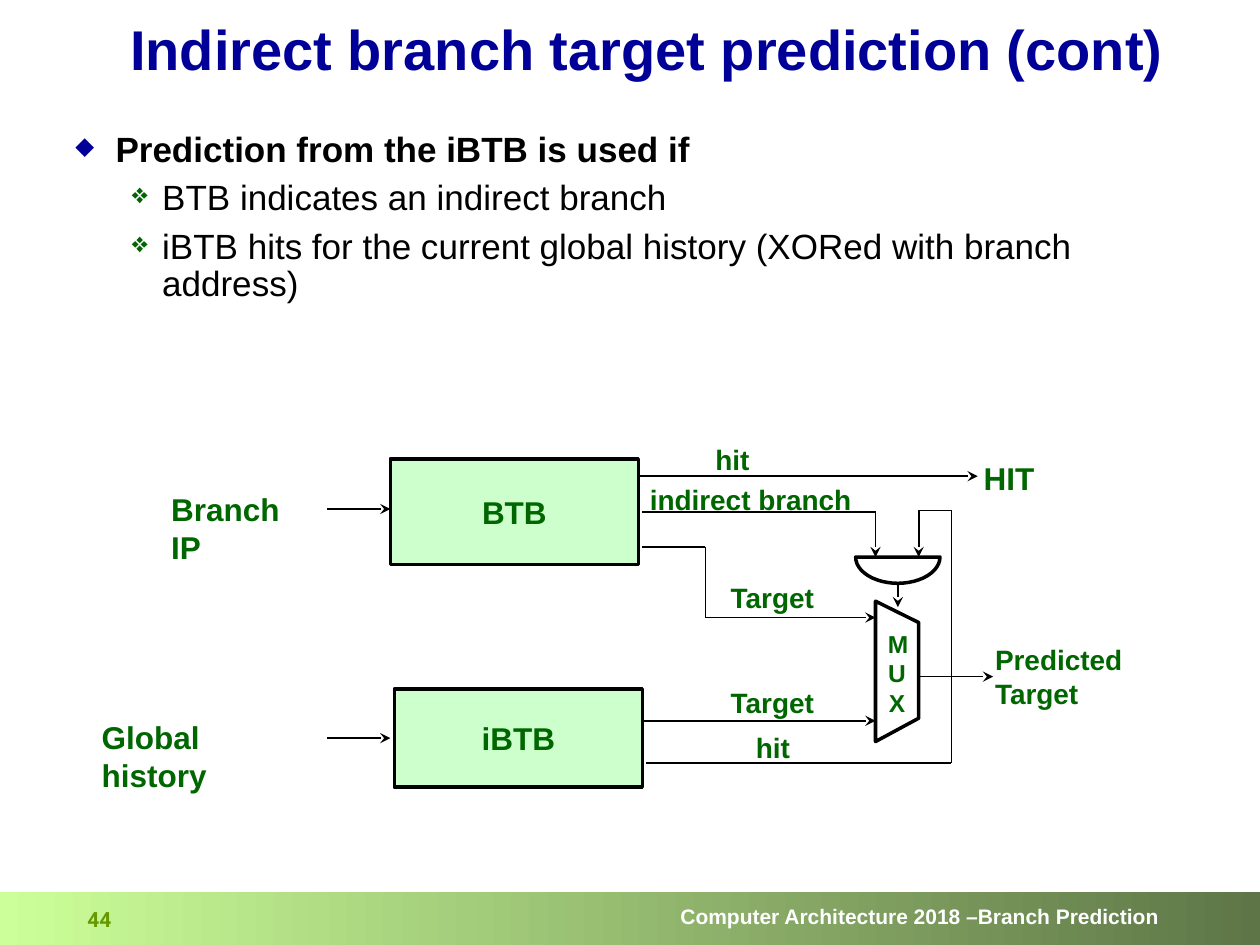
from dataclasses import dataclass
from itertools import pairwise
from math import cos, pi, sin

from lxml.etree import SubElement
from pptx import Presentation
from pptx.dml.color import RGBColor
from pptx.enum.shapes import MSO_CONNECTOR, MSO_SHAPE
from pptx.enum.text import MSO_ANCHOR, PP_ALIGN
from pptx.oxml.ns import qn
from pptx.util import Cm, Pt


@dataclass(frozen=True)
class Theme:
    font: str = "Arial"
    number_font: str = "Roboto"
    title: str = "000099"
    ink: str = "000000"
    label: str = "006600"
    block: str = "CCFFCC"
    footer_start: str = "CCFF99"
    footer_end: str = "5E7647"
    footer_text: str = "FFFFFF"
    number: str = "669900"
    title_size: int = 32
    body_size: int = 20
    block_size: int = 18
    label_size: int = 16
    mux_size: int = 14
    footer_size: int = 12
    thin: int = 1
    thick: int = 2


THEME = Theme()
rgb = RGBColor.from_string


def add_bullet(paragraph, char, color, percent, left, hanging):
    """Give a paragraph a coloured bullet and a hanging indent in cm."""
    props = paragraph._p.get_or_add_pPr()
    props.set("marL", str(Cm(left)))
    props.set("indent", str(-Cm(hanging)))
    bullet_color = SubElement(props, qn("a:buClr"))
    SubElement(bullet_color, qn("a:srgbClr"), val=color)
    SubElement(props, qn("a:buSzPct"), val=str(percent * 1000))
    SubElement(props, qn("a:buChar"), char=char)


def write(shape, text, *, size=THEME.label_size, color=THEME.label, bold=True,
          font=THEME.font, align=PP_ALIGN.LEFT, anchor=MSO_ANCHOR.TOP,
          wrap=True, spacing=None, before=None, bullet=None, more=False):
    """Write one paragraph per line of text; more adds to the text there."""
    frame = shape.text_frame
    frame.word_wrap = wrap
    frame.vertical_anchor = anchor
    for index, line in enumerate(text.split("\n")):
        first = index == 0 and not more
        paragraph = frame.paragraphs[0] if first else frame.add_paragraph()
        if bullet:
            add_bullet(paragraph, *bullet)
        paragraph.alignment = align
        if spacing:
            paragraph.line_spacing = spacing
        if before and not first:
            paragraph.space_before = Pt(before)
        run = paragraph.add_run()
        run.text = line
        run.font.name = font
        run.font.size = Pt(size)
        run.font.bold = bold
        run.font.color.rgb = rgb(color)


def add_box(slide, left, top, width, height):
    return slide.shapes.add_textbox(Cm(left), Cm(top), Cm(width), Cm(height))


def add_rectangle(slide, left, top, width, height):
    rectangle = slide.shapes.add_shape(
        MSO_SHAPE.RECTANGLE, Cm(left), Cm(top), Cm(width), Cm(height))
    rectangle.shadow.inherit = False
    return rectangle


def set_outline(shape, width):
    shape.line.color.rgb = rgb(THEME.ink)
    shape.line.width = Pt(width)


def add_wire(slide, points, arrow=True):
    """Join points by straight lines, with an arrowhead at the last one."""
    segments = list(pairwise(points))
    for segment in segments:
        (x1, y1), (x2, y2) = segment
        line = slide.shapes.add_connector(
            MSO_CONNECTOR.STRAIGHT, Cm(x1), Cm(y1), Cm(x2), Cm(y2))
        set_outline(line, THEME.thin)
        if arrow and segment is segments[-1]:
            SubElement(line.line._get_or_add_ln(), qn("a:tailEnd"), type="stealth")
        SubElement(line._element.spPr, qn("a:effectLst"))


def add_outline(slide, points):
    start, *rest = [(Cm(x), Cm(y)) for x, y in points]
    builder = slide.shapes.build_freeform(*start)
    builder.add_line_segments(rest, close=True)
    outline = builder.convert_to_shape()
    outline.shadow.inherit = False
    outline.fill.background()
    set_outline(outline, THEME.thick)


def add_title(slide, left, top, width, height):
    write(add_box(slide, left, top, width, height),
          "Indirect branch target prediction (cont)", size=THEME.title_size,
          color=THEME.title, align=PP_ALIGN.CENTER, anchor=MSO_ANCHOR.MIDDLE,
          spacing=0.9)


def add_conditions(slide, left, top, width, height):
    conditions = add_box(slide, left, top, width, height)
    style = {"size": THEME.body_size, "color": THEME.ink, "spacing": 0.9, "before": 6}
    write(conditions, "Prediction from the iBTB is used if",
          bullet=("◆", THEME.title, 70, 0.81, 0.81), **style)
    write(conditions, "BTB indicates an indirect branch\n"
          "iBTB hits for the current global history (XORed with branch address)",
          bold=False, more=True, bullet=("❖", THEME.label, 80, 1.75, 0.61), **style)


def add_predictor(slide, left, top):
    """Draw the block diagram from its top left corner."""
    def place(*points):
        return [(left + x, top + y) for x, y in points]

    for name, x, y, height in (("BTB", 6.07, 0.45, 2.13), ("iBTB", 6.15, 5.09, 1.98)):
        block = add_rectangle(slide, left + x, top + y, 5, height)
        block.fill.solid()
        block.fill.fore_color.rgb = rgb(THEME.block)
        set_outline(block, THEME.thick)
        write(block, name, size=THEME.block_size, align=PP_ALIGN.CENTER,
              anchor=MSO_ANCHOR.MIDDLE)

    gate_x, gate_y, steps = 16.3, 2.43, 24
    arc = [(gate_x + 0.85 * cos(pi * step / steps),
            gate_y + 0.53 * sin(pi * step / steps)) for step in range(steps + 1)]
    add_outline(slide, place(*arc))

    mux_left, mux_right = 15.85, 16.72
    add_outline(slide, place((mux_left, 3.32), (mux_right, 3.75),
                             (mux_right, 5.68), (mux_left, 6.15)))
    for row, letter in enumerate("MUX"):
        write(add_box(slide, left + mux_left, top + 3.75 + 0.6 * row,
                      mux_right - mux_left, 0.84),
              letter, size=THEME.mux_size, align=PP_ALIGN.CENTER, wrap=False)

    wires = (
        ((4.8, 1.46), (6.07, 1.46)),
        ((4.8, 6.08), (6.07, 6.08)),
        ((11.1, 0.8), (17.91, 0.8)),
        ((11.15, 1.52), (mux_left, 1.52), (mux_left, gate_y)),
        ((11.15, 2.22), (12.42, 2.22), (12.42, 3.65), (mux_left, 3.65)),
        ((11.15, 5.73), (mux_left, 5.73)),
        ((11.23, 6.58), (17.38, 6.58), (17.38, 1.49), (mux_right, 1.49),
         (mux_right, gate_y)),
        ((gate_x, 2.96), (gate_x, 3.44)),
        ((mux_right, 4.84), (18.22, 4.84)),
    )
    for wire in wires:
        add_wire(slide, place(*wire))

    labels = (
        ("Branch IP", 1.4, 0.95, 3.2, THEME.block_size),
        ("Global history", 0, 5.55, 3.2, THEME.block_size),
        ("HIT", 17.78, 0.32, 2, THEME.block_size),
        ("hit", 12.37, 0, 1.5, THEME.label_size),
        ("indirect branch", 11.05, 0.8, 5, THEME.label_size),
        ("Target", 12.68, 2.78, 2.44, THEME.label_size),
        ("Target", 12.68, 4.89, 2.44, THEME.label_size),
        ("hit", 13.19, 5.8, 1.5, THEME.label_size),
        ("Predicted\nTarget", 18.01, 4.03, 3.6, THEME.label_size),
    )
    for text, x, y, width, size in labels:
        write(add_box(slide, left + x, top + y, width, 0.95), text, size=size)


def add_footer(slide, left, top, width, height):
    band = add_rectangle(slide, left, top, width, height)
    band.line.fill.background()
    band.fill.gradient()
    band.fill.gradient_angle = 0
    for stop, color in zip(band.fill.gradient_stops,
                           (THEME.footer_start, THEME.footer_end)):
        stop.color.rgb = rgb(color)
    band.text_frame.margin_right = Cm(2.03)
    band.text_frame.margin_top = band.text_frame.margin_bottom = 0
    write(band, "Computer Architecture 2018 –Branch Prediction",
          size=THEME.footer_size, color=THEME.footer_text, align=PP_ALIGN.RIGHT,
          anchor=MSO_ANCHOR.MIDDLE, spacing=0.8)
    write(add_box(slide, left + 1.27, top + 0.23, 1.47, 0.71), "44",
          size=THEME.footer_size, color=THEME.number, font=THEME.number_font,
          align=PP_ALIGN.CENTER, spacing=0.9)


def main():
    presentation = Presentation()
    presentation.slide_width, presentation.slide_height = Cm(25.4), Cm(19.05)
    slide = presentation.slides.add_slide(presentation.slide_layouts[6])
    add_footer(slide, 0, 17.98, 25.4, 1.07)
    add_title(slide, 1.9, 0.2, 22.3, 1.7)
    add_conditions(slide, 1.27, 2.54, 22.86, 5)
    add_predictor(slide, 1.8, 8.8)
    presentation.save("out.pptx")


if __name__ == "__main__":
    main()
